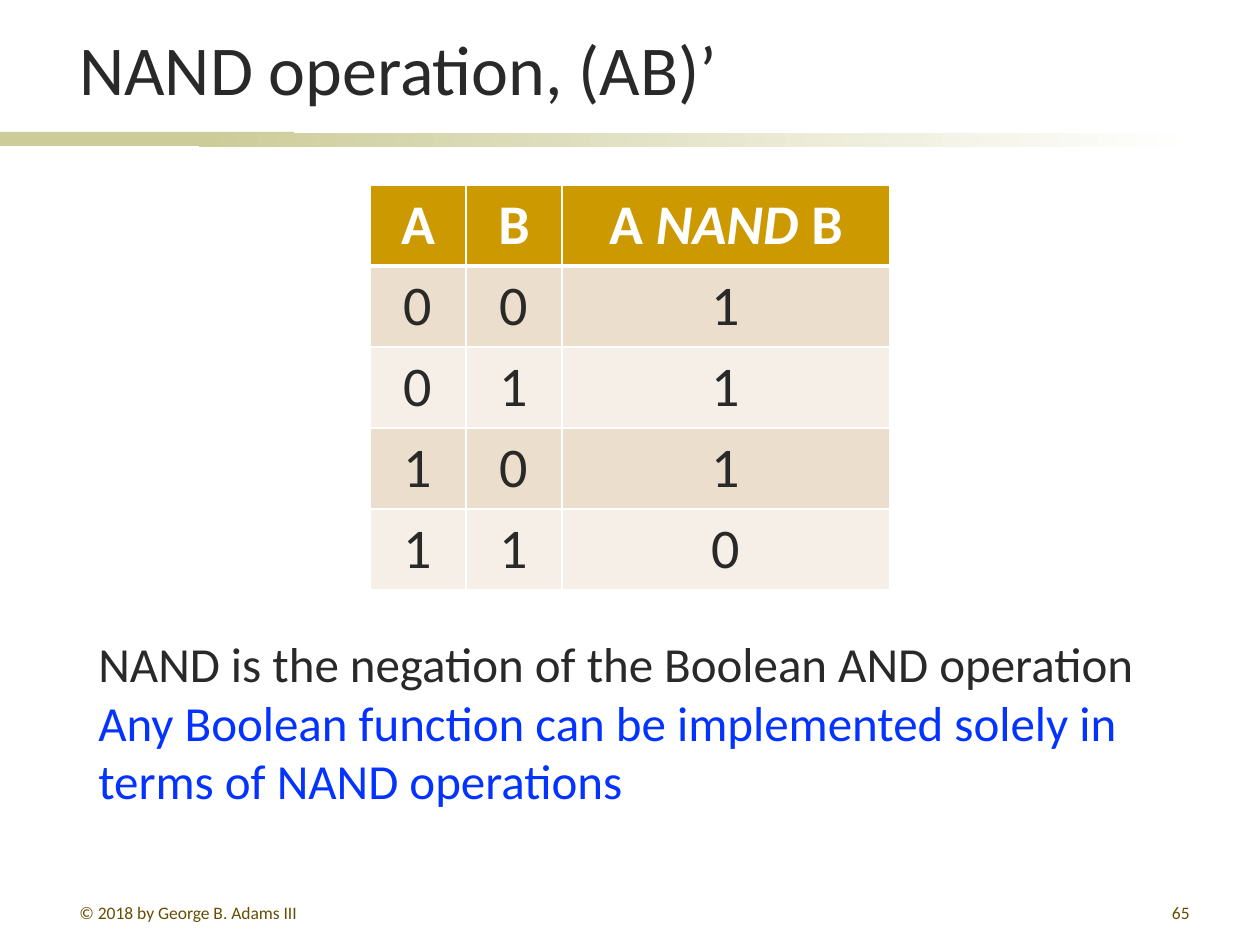
from lxml import etree
from pptx import Presentation, util as u
from pptx.dml.color import RGBColor
from pptx.enum import shapes, text
from pptx.oxml import ns

COLORS = {
    "ink": "292929", "blue": "0432FF", "brown": "664D00", "white": "FFFFFF",
    "sage": "CCCC99", "gold": "CC9900", "tan": "ECDECC", "cream": "F6EFE7",
}
FONT = "Calibri"


def px(n):
    return u.Emu(round(n * 914400 / 126))


def rgb(name):
    return RGBColor.from_string(COLORS[name])


def style(par, size, color, bold=False, align=text.PP_ALIGN.LEFT):
    par.alignment = align
    for run in par.runs:
        font = run.font
        font.name, font.size, font.bold = FONT, u.Pt(size), bold
        font.color.rgb = rgb(color)


def add_text(slide, box, lines, size, align=text.PP_ALIGN.LEFT,
             anchor=text.MSO_ANCHOR.TOP):
    frame = slide.shapes.add_textbox(*map(px, box)).text_frame
    frame.word_wrap = True
    frame.vertical_anchor = anchor
    frame.text = "\n".join(line for line, _ in lines)
    for par, (_, color) in zip(frame.paragraphs, lines):
        style(par, size, color, align=align)


def add_bar(slide, box, fade=False):
    bar = slide.shapes.add_shape(shapes.MSO_SHAPE.RECTANGLE, *map(px, box))
    bar.shadow.inherit = False
    bar.line.fill.background()
    if fade:
        bar.fill.gradient()
        bar.fill.gradient_angle = 0
        for stop, color, pos in zip(bar.fill.gradient_stops, ("sage", "white"), (0, 1)):
            stop.color.rgb = rgb(color)
            stop.position = pos
    else:
        bar.fill.solid()
        bar.fill.fore_color.rgb = rgb("sage")


def add_edges(cell, top, bottom):
    props = cell._tc.get_or_add_tcPr()
    edges = (("lnL", 1), ("lnR", 1), ("lnT", top), ("lnB", bottom))
    for i, (tag, width) in enumerate(edges):
        line = etree.Element(ns.qn("a:" + tag), w=str(u.Pt(width)))
        fill = etree.SubElement(line, ns.qn("a:solidFill"))
        etree.SubElement(fill, ns.qn("a:srgbClr"), val=COLORS["white"])
        props.insert(i, line)


def add_table(slide, box, widths, rows):
    table = slide.shapes.add_table(len(rows), len(widths), *map(px, box)).table
    for col, width in zip(table.columns, widths):
        col.width = px(width)
    for r, row in enumerate(rows):
        head = r == 0
        band = "gold" if head else ("cream", "tan")[r % 2]
        for c, parts in enumerate(row):
            cell = table.cell(r, c)
            cell.fill.solid()
            cell.fill.fore_color.rgb = rgb(band)
            par = cell.text_frame.paragraphs[0]
            for part in parts:
                par.add_run().text = part
            style(par, 32, "white" if head else "ink", head, text.PP_ALIGN.CENTER)
            add_edges(cell, 3 if r == 1 else 1, 3 if head else 1)
    return table


def main():
    prs = Presentation()
    prs.slide_width, prs.slide_height = px(1260), px(945)
    slide = prs.slides.add_slide(prs.slide_layouts[6])

    add_bar(slide, (0, 132, 294, 14))
    add_bar(slide, (199, 133, 997, 14), fade=True)
    add_text(slide, (67, 14, 1135, 102), [("NAND operation, (AB)’", "ink")], 40,
             anchor=text.MSO_ANCHOR.BOTTOM)

    rows = [["A", "B", ("A ", "NAND", " B")]]
    rows += [[str(a), str(b), str(1 - a * b)] for a in (0, 1) for b in (0, 1)]
    table = add_table(slide, (370, 185, 520, 405), (96, 96, 328), rows)
    table.cell(0, 2).text_frame.paragraphs[0].runs[1].font.italic = True

    add_text(slide, (67, 896, 273, 26), [("© 2018 by George B. Adams III", "brown")], 10)
    add_text(slide, (940, 896, 262, 26), [("65", "brown")], 10, text.PP_ALIGN.RIGHT)
    add_text(slide, (86, 627, 1074, 190), [
        ("NAND is the negation of the Boolean AND operation", "ink"),
        ("Any Boolean function can be implemented solely in terms of NAND operations", "blue"),
    ], 28)
    prs.save("out.pptx")


if __name__ == "__main__":
    main()
